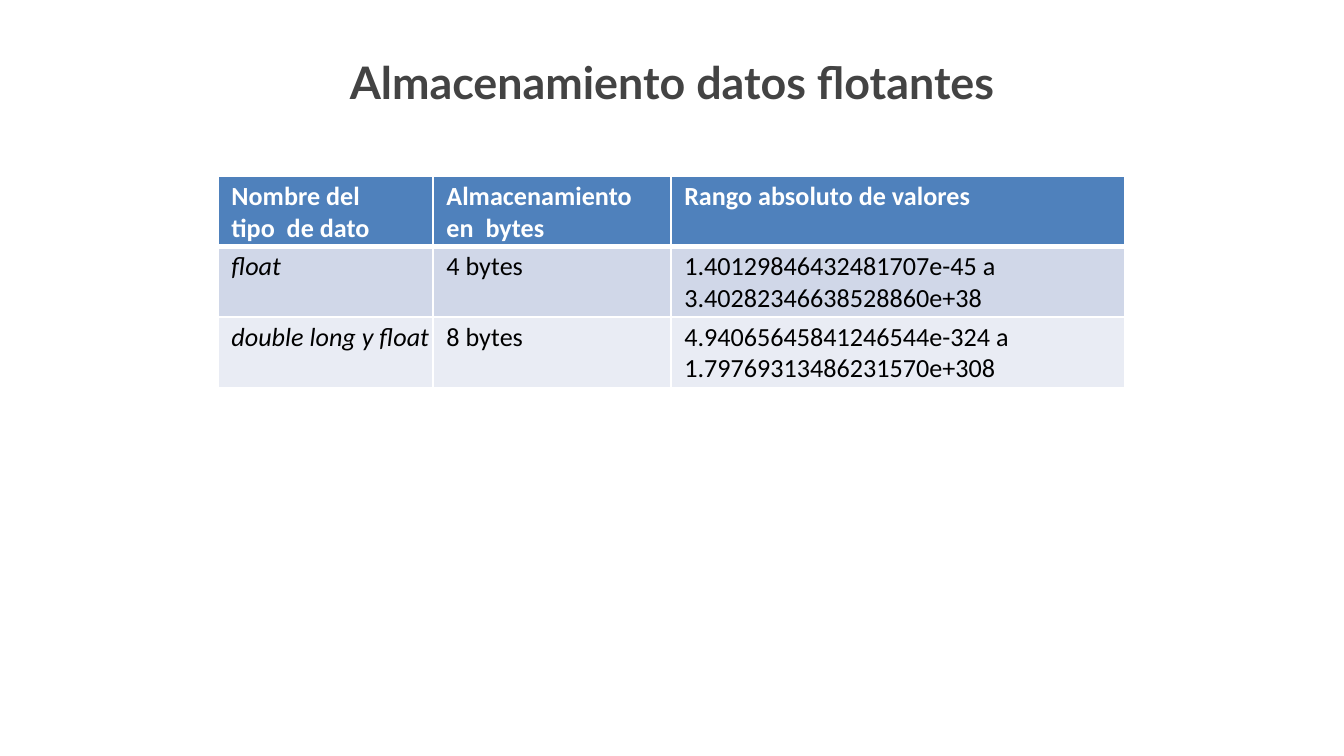
from lxml.etree import SubElement
from pptx import Presentation
from pptx.dml.color import RGBColor
from pptx.enum.text import MSO_ANCHOR, PP_ALIGN
from pptx.oxml.ns import qn
from pptx.util import Pt

TITLE = "Almacenamiento datos flotantes"
HEADINGS = ["Nombre del tipo  de dato", "Almacenamiento en  bytes",
            "Rango absoluto de valores"]
FLOAT_TYPES = [
    ["float", "4 bytes", "1.40129846432481707e-45 a\n3.40282346638528860e+38"],
    ["double long y float", "8 bytes",
     "4.94065645841246544e-324 a\n1.79769313486231570e+308"],
]

WHITE = RGBColor(0xFF, 0xFF, 0xFF)
BLACK = RGBColor(0, 0, 0)
DARK_GRAY = RGBColor(0x43, 0x43, 0x43)
ROW_FILLS = [RGBColor(0x4F, 0x81, 0xBC), RGBColor(0xD0, 0xD7, 0xE8),
             RGBColor(0xE9, 0xEC, 0xF4)]

COLUMN_WIDTHS = [115.2, 127.4, 243.4]
HEADING_RIGHT_MARGINS = [27, 14, 0]
ROW_HEIGHT = 37.7
TABLE_LEFT, TABLE_TOP = 116.8, 94.6
THIN, THICK = 1, 3


def apply(target, values):
    for name, value in values.items():
        setattr(target, name, value)


def add_border(cell, side, width):
    line = SubElement(cell._tc.get_or_add_tcPr(), qn(f"a:ln{side}"), w=str(Pt(width)))
    fill = SubElement(line, qn("a:solidFill"))
    SubElement(fill, qn("a:srgbClr"), val=str(WHITE))


def format_cell(cell, text, row, column):
    is_heading = row == 0
    widths = {"L": THIN, "R": THIN,
              "T": THICK if row == 1 else THIN,
              "B": THICK if is_heading else THIN}
    for side, width in widths.items():
        add_border(cell, side, width)
    cell.fill.solid()
    cell.fill.fore_color.rgb = ROW_FILLS[row]
    right = HEADING_RIGHT_MARGINS[column] if is_heading else 0
    apply(cell, {"text": text, "margin_left": Pt(7.2), "margin_right": Pt(right),
                 "margin_top": Pt(2.2), "margin_bottom": 0,
                 "vertical_anchor": MSO_ANCHOR.TOP})
    for paragraph in cell.text_frame.paragraphs:
        apply(paragraph.font, {"name": "Calibri", "size": Pt(14), "bold": is_heading,
                               "italic": not is_heading and column == 0})
        paragraph.font.color.rgb = WHITE if is_heading else BLACK


def main():
    deck = Presentation()
    apply(deck, {"slide_width": Pt(720), "slide_height": Pt(405)})
    slide = deck.slides.add_slide(deck.slide_layouts[5])

    title = slide.shapes.title
    apply(title, {"left": Pt(154.8), "top": Pt(28.1), "width": Pt(410.4),
                  "height": Pt(74.2), "text": TITLE})
    apply(title.text_frame, {"margin_left": 0, "margin_right": 0, "margin_bottom": 0,
                             "margin_top": Pt(1), "word_wrap": True,
                             "vertical_anchor": MSO_ANCHOR.TOP})
    heading = title.text_frame.paragraphs[0]
    heading.alignment = PP_ALIGN.CENTER
    apply(heading.font, {"name": "Lato", "size": Pt(24), "bold": True})
    heading.font.color.rgb = DARK_GRAY

    rows = [HEADINGS, *FLOAT_TYPES]
    table = slide.shapes.add_table(
        len(rows), len(HEADINGS), Pt(TABLE_LEFT), Pt(TABLE_TOP),
        Pt(sum(COLUMN_WIDTHS)), Pt(ROW_HEIGHT * len(rows))).table
    apply(table, {"first_row": False, "horz_banding": False})
    for column, width in zip(table.columns, COLUMN_WIDTHS):
        column.width = Pt(width)
    for r, texts in enumerate(rows):
        for c, text in enumerate(texts):
            format_cell(table.cell(r, c), text, r, c)

    deck.save("out.pptx")


if __name__ == "__main__":
    main()
